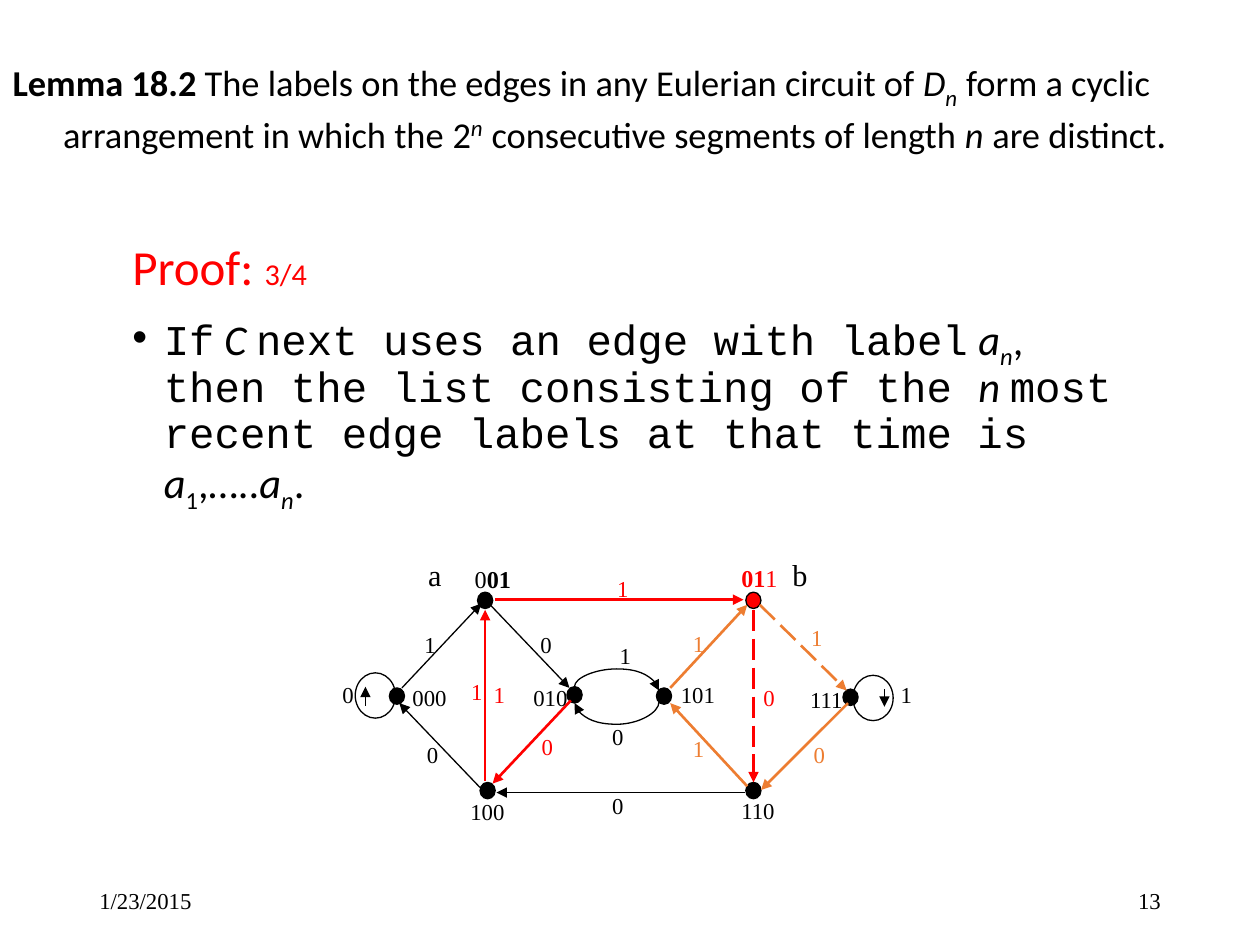
from lxml.etree import SubElement
from pptx import Presentation
from pptx.dml.color import RGBColor
from pptx.enum.dml import MSO_LINE
from pptx.enum.shapes import MSO_CONNECTOR, MSO_SHAPE
from pptx.enum.text import MSO_ANCHOR, MSO_AUTO_SIZE, PP_ALIGN
from pptx.oxml.ns import qn
from pptx.util import Pt

COLORS = {"black": "000000", "red": "FF0000", "orange": "ED7D31"}
SANS, MONO, SERIF = "Calibri", "Courier New", "Times New Roman"
SUBSCRIPT, SUPERSCRIPT = -25000, 30000

TITLE_RUNS = [
    ("Lemma 18.2", 20.8, "b", 0),
    (" The labels on the edges in any Eulerian circuit of", 20.8, "", 0),
    (" ", 22.5, "", 0),
    ("D", 20.8, "i", 0),
    ("n", 22.5, "i", SUBSCRIPT),
    (" ", 22.5, "", 0),
    ("form a cyclic arrangement in which the", 20.8, "", 0),
    (" ", 22.5, "", 0),
    ("2", 20.8, "", 0),
    ("n", 22.5, "i", SUPERSCRIPT),
    (" ", 22.5, "", 0),
    ("consecutive segments of length", 20.8, "", 0),
    (" ", 22.5, "", 0),
    ("n", 20.8, "i", 0),
    (" ", 22.5, "", 0),
    ("are distinct", 20.8, "", 0),
    (".", 22.5, "", 0),
    (" ", 25.1, "", 0),
]
PROOF_RUNS = [("Proof: ", 28, "", 0), ("3/4", 17.3, "", 0)]
STEP_RUNS = [
    ("If", MONO, "", 0),
    (" C ", SANS, "i", 0),
    ("next uses an edge with label", MONO, "", 0),
    (" a", SANS, "i", 0),
    ("n", SANS, "i", SUBSCRIPT),
    (", ", SANS, "", 0),
    ("then the list consisting of the ", MONO, "", 0),
    ("n ", SANS, "i", 0),
    ("most recent edge labels at that time is ", MONO, "", 0),
    ("a", SANS, "i", 0),
    ("1", SANS, "", SUBSCRIPT),
    (",…..", SANS, "", 0),
    ("a", SANS, "i", 0),
    ("n", SANS, "i", SUBSCRIPT),
    (".", SANS, "", 0),
]
NODES = [
    (272.9, 338.4, "black"), (274.3, 447.1, "black"), (426.2, 447.1, "black"),
    (426.2, 338.4, "red"), (324, 392.4, "black"), (375.1, 393.1, "black"),
    (222.5, 393.1, "black"), (481.7, 393.8, "black"),
]
LOOPS = [(203, 384.5), (487.4, 385.9)]
EDGES = [
    (283, 342.7, 424.8, 342.7, "red", False),
    (425.5, 452.9, 283.7, 452.9, "black", False),
    (430.6, 348.5, 430.6, 447.1, "red", True),
    (277.2, 446.4, 277.2, 348.5, "red", False),
    (280.1, 345.6, 325.4, 393.1, "black", False),
    (326.2, 400.3, 281.5, 447.8, "red", False),
    (383, 393.1, 427, 345.6, "orange", False),
    (427, 449.3, 383, 401.8, "orange", False),
    (229.7, 393.1, 275, 344.9, "black", False),
    (274.3, 450, 228.2, 401.8, "black", False),
    (434.2, 345.6, 483.8, 394.6, "orange", True),
    (484.6, 401.8, 434.9, 451.4, "orange", False),
    (208.8, 403.2, 208.8, 392.4, "black", False),
    (505.4, 393.8, 505.4, 403.9, "black", False),
]
CURVES = [(328.3, 392.4, 376.6, 394.6, 382.3), (376.6, 401, 328.3, 401.8, 414)]
EDGE_LABELS = [
    ("0", 188.6, 385.2, "black"), ("0", 236.9, 419.8, "black"),
    ("1", 275, 385.2, "red"), ("0", 301.7, 357.1, "black"),
    ("0", 342.7, 448.6, "black"), ("0", 342.7, 409.7, "black"),
    ("0", 429.1, 387.4, "red"), ("0", 457.9, 419.8, "orange"),
    ("1", 235.4, 357.1, "black"), ("1", 262.1, 383.8, "red"),
    ("1", 345.6, 324.7, "red"), ("1", 347, 362.9, "black"),
    ("1", 388.8, 356.4, "orange"), ("1", 456.5, 352.8, "orange"),
    ("1", 507.6, 385.2, "black"), ("1", 388.8, 416.2, "orange"),
    ("0", 302.4, 415.4, "red"),
]
NODE_LABELS = [
    ("000", 228.6, 387.4), ("100", 261.7, 452.2), ("010", 297.7, 387.4),
    ("101", 382, 385.2), ("110", 416.5, 451.8), ("111", 455.8, 388.1),
]


def color(name):
    return RGBColor.from_string(COLORS[name])


def format_font(font, name=None, size=None, color_name=None):
    font.name = name
    if size:
        font.size = Pt(size)
    if color_name:
        font.color.rgb = color(color_name)


def add_run(paragraph, text, style="", baseline=0):
    run = paragraph.add_run()
    run.text = text
    run.font.bold = "b" in style
    run.font.italic = "i" in style
    if baseline:
        run.font._element.set("baseline", str(baseline))
    return run


def place(shape, left, top, width, height):
    shape.left, shape.top = Pt(left), Pt(top)
    shape.width, shape.height = Pt(width), Pt(height)
    shape.text_frame.auto_size = MSO_AUTO_SIZE.NONE
    shape.text_frame.word_wrap = True


def format_paragraph(paragraph, indent, spacing, before, bullet=None):
    properties = paragraph._p.get_or_add_pPr()
    properties.set("marL", str(Pt(indent)))
    properties.set("indent", str(-Pt(indent)))
    paragraph.alignment = PP_ALIGN.LEFT
    paragraph.line_spacing = spacing
    paragraph.space_before = Pt(before)
    if bullet:
        SubElement(properties, qn("a:buFont"), typeface="Arial")
        SubElement(properties, qn("a:buChar"), char=bullet)
    else:
        SubElement(properties, qn("a:buNone"))


def fill_title(title):
    place(title, 0, 0, 720, 123.1)
    title.text_frame.vertical_anchor = MSO_ANCHOR.MIDDLE
    paragraph = title.text_frame.paragraphs[0]
    format_paragraph(paragraph, 28.8, 0.95, 0)
    format_font(paragraph.font, SANS, color_name="black")
    for text, size, style, baseline in TITLE_RUNS:
        add_run(paragraph, text, style, baseline).font.size = Pt(size)


def fill_body(body):
    place(body, 68.4, 135.4, 583.2, 169.9)
    proof = body.text_frame.paragraphs[0]
    format_paragraph(proof, 18, 0.9, 10)
    format_font(proof.font, SANS, color_name="red")
    for text, size, style, baseline in PROOF_RUNS:
        add_run(proof, text, style, baseline).font.size = Pt(size)
    step = body.text_frame.add_paragraph()
    format_paragraph(step, 18, 0.9, 10, "•")
    format_font(step.font, size=24.2, color_name="black")
    for text, font_name, style, baseline in STEP_RUNS:
        add_run(step, text, style, baseline).font.name = font_name


def add_label(slide, runs, left, top, width=16.6, height=23, size=13, color_name="black"):
    box = slide.shapes.add_textbox(Pt(left), Pt(top), Pt(width), Pt(height))
    box.text_frame.word_wrap = True
    paragraph = box.text_frame.paragraphs[0]
    format_font(paragraph.font, SERIF, size, color_name)
    for text, style in runs:
        add_run(paragraph, text, style)
    return box


def add_ellipse(slide, left, top, width, height, fill=None):
    ellipse = slide.shapes.add_shape(MSO_SHAPE.OVAL, Pt(left), Pt(top), Pt(width), Pt(height))
    ellipse.shadow.inherit = False
    if fill:
        ellipse.fill.solid()
        ellipse.fill.fore_color.rgb = color(fill)
    else:
        ellipse.fill.background()
    ellipse.line.color.rgb = color("black")
    ellipse.line.width = Pt(0.75)


def add_arrow(slide, x1, y1, x2, y2, color_name="black", dashed=False, kind=MSO_CONNECTOR.STRAIGHT):
    arrow = slide.shapes.add_connector(kind, Pt(x1), Pt(y1), Pt(x2), Pt(y2))
    arrow.line.color.rgb = color(color_name)
    arrow.line.width = Pt(0.75 if color_name == "black" else 1.5)
    if dashed:
        arrow.line.dash_style = MSO_LINE.LONG_DASH
    SubElement(arrow.line._get_or_add_ln(), qn("a:tailEnd"), type="triangle")
    SubElement(arrow.element.spPr, qn("a:effectLst"))
    return arrow


def add_curve(slide, x1, y1, x2, y2, bend):
    middle_x, middle_y = (x1 + x2) / 2, (y1 + y2) / 2
    half_width, half_height = (y2 - y1) / 2, abs(x2 - x1) / 2
    curve = add_arrow(slide, middle_x - half_width, middle_y - half_height,
                      middle_x + half_width, middle_y + half_height, kind=MSO_CONNECTOR.CURVE)
    transform = curve.element.spPr.find(qn("a:xfrm"))
    transform.set("rot", "5400000")
    if x2 > x1:
        transform.set("flipV", "1")
    adjustments = curve.element.spPr.find(qn("a:prstGeom")).get_or_add_avLst()
    ratio = round((bend - y1) / (y2 - y1) * 100000)
    SubElement(adjustments, qn("a:gd"), name="adj1", fmla=f"val {ratio}")


def add_graph(slide):
    for left, top, fill in NODES:
        add_ellipse(slide, left, top, 8.64, 9.36, fill)
    for left, top in LOOPS:
        add_ellipse(slide, left, top, 23, 25.9)
    for edge in EDGES:
        add_arrow(slide, *edge)
    for curve in CURVES:
        add_curve(slide, *curve)
    for text, left, top, color_name in EDGE_LABELS:
        add_label(slide, [(text, "")], left, top, color_name=color_name)
    for text, left, top in NODE_LABELS:
        add_label(slide, [(text, "")], left, top, 38)
    add_label(slide, [("0", ""), ("01", "b")], 264.2, 319, 40, 23.8, 13.8)
    add_label(slide, [("01", "b"), ("1", "")], 416.5, 318.2, 40, 23.8, 13.8, "red")
    for text, left in (("a", 237.6), ("b", 445.7)):
        add_label(slide, [(text, "")], left, 314.2, 23, 28, 17.3)


def main():
    presentation = Presentation()
    presentation.slide_width, presentation.slide_height = Pt(720), Pt(540)
    slide = presentation.slides.add_slide(presentation.slide_layouts[1])
    fill_title(slide.shapes.title)
    fill_body(slide.placeholders[1])
    add_graph(slide)
    for text, left, alignment in (("1/23/2015", 49.7, PP_ALIGN.LEFT), ("13", 508.3, PP_ALIGN.RIGHT)):
        footer = add_label(slide, [(text, "")], left, 500.4, 162, 28.8)
        footer.text_frame.vertical_anchor = MSO_ANCHOR.MIDDLE
        footer.text_frame.paragraphs[0].alignment = alignment
    presentation.save("out.pptx")


main()
